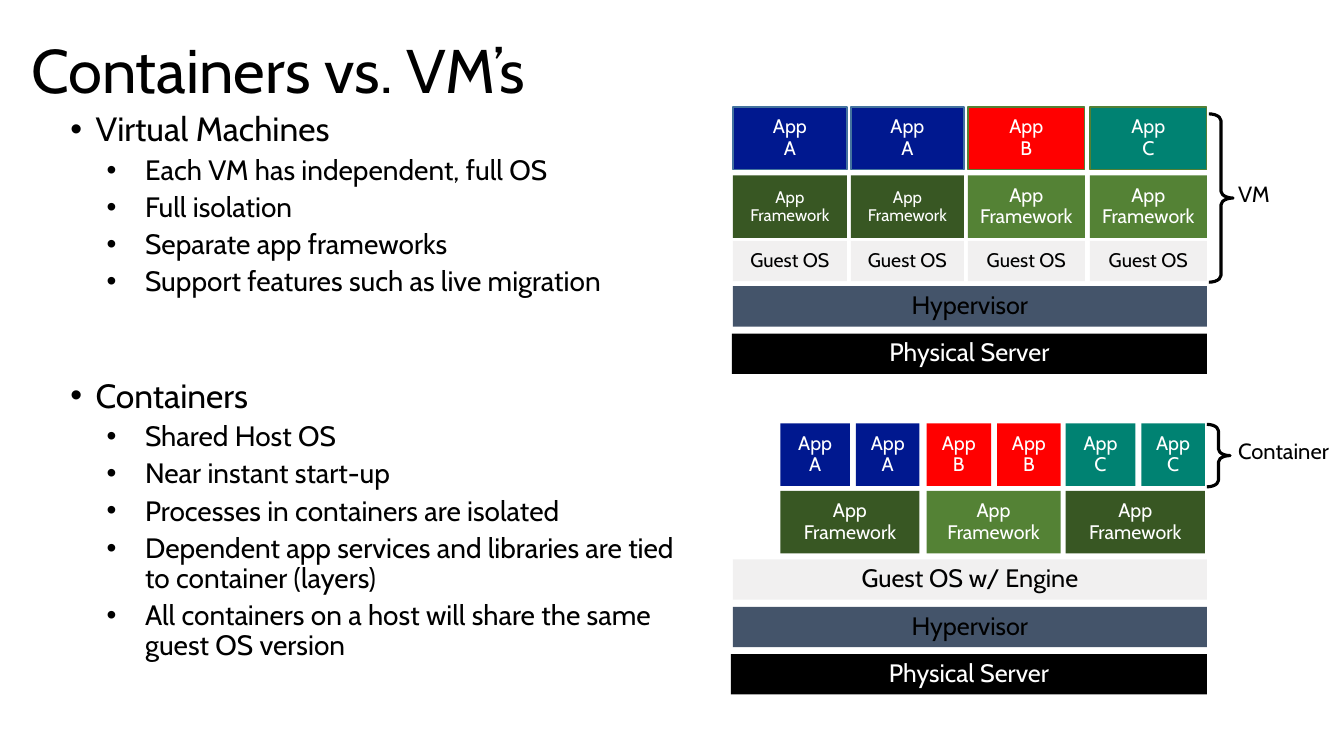
"""Builds a slide that compares the layers of virtual machines and containers."""
from pptx import Presentation
from pptx import util as u
from pptx.dml.color import RGBColor
from pptx.enum import shapes, text
from pptx.oxml import parse_xml
from pptx.oxml.ns import nsdecls

INK = {
    "black": "000000", "white": "FFFFFF", "navy": "00188F", "red": "FF0000",
    "teal": "008272", "pine": "385723", "leaf": "548235", "pale": "F1F0F0",
    "slate": "44546A", "blue edge": "43739E", "green edge": "538035",
}


def write(frame, words, size, ink="black", align=text.PP_ALIGN.LEFT):
    frame.text = words
    for par in frame.paragraphs:
        par.alignment = align
        par.line_spacing = 0.9
        for run in par.runs:
            run.font.name = "Cabin"
            run.font.size = u.Pt(size)
            run.font.color.rgb = RGBColor.from_string(INK[ink])


def block(left, top, width, height, words, fill, size, ink="white", edge=None):
    box = slide.shapes.add_shape(
        shapes.MSO_SHAPE.RECTANGLE,
        u.Inches(left), u.Inches(top), u.Inches(width), u.Inches(height))
    box.shadow.inherit = False
    box.fill.solid()
    box.fill.fore_color.rgb = RGBColor.from_string(INK[fill])
    if edge:
        box.line.color.rgb = RGBColor.from_string(INK[edge])
        box.line.width = u.Pt(1)
    else:
        box.line.fill.background()
    frame = box.text_frame
    frame.word_wrap = True
    frame.vertical_anchor = text.MSO_ANCHOR.MIDDLE
    frame.margin_left = frame.margin_right = u.Inches(0.1)
    frame.margin_top = frame.margin_bottom = u.Inches(0.1)
    write(frame, words, size, ink, text.PP_ALIGN.CENTER)


deck = Presentation()
deck.slide_width = u.Inches(13.33)
deck.slide_height = u.Inches(7.5)
slide = deck.slides.add_slide(deck.slide_layouts[6])

title = slide.shapes.add_textbox(
    u.Inches(0.21), u.Inches(0.24), u.Inches(12.99), u.Inches(0.98)).text_frame
title.word_wrap = True
title.vertical_anchor = text.MSO_ANCHOR.MIDDLE
write(title, "Containers vs. VM’s", 44)

points = [
    (0, "Virtual Machines", 0),
    (1, "Each VM has independent, full OS", 5),
    (1, "Full isolation", 5),
    (1, "Separate app frameworks", 5),
    (1, "Support features such as live migration", 5),
    (0, "Containers", 58),
    (1, "Shared Host OS", 5),
    (1, "Near instant start-up", 5),
    (1, "Processes in containers are isolated", 5),
    (1, "Dependent app services and libraries are tied to container (layers)", 5),
    (1, "All containers on a host will share the same guest OS version", 5),
]
body = slide.shapes.add_textbox(
    u.Inches(0.6), u.Inches(1.07), u.Inches(6.25), u.Inches(5.93)).text_frame
body.word_wrap = True
write(body, "\n".join(words for level, words, gap in points), 20)
for par, (level, words, gap) in zip(body.paragraphs, points):
    par.level = level
    par.space_before = u.Pt(gap)
    par.runs[0].font.size = u.Pt(20 if level else 24)
    props = par._p.get_or_add_pPr()
    props.set("marL", str(u.Inches(0.74 if level else 0.25)))
    props.set("indent", str(u.Inches(-0.38 if level else -0.25)))
    props.append(parse_xml(f'<a:buFont {nsdecls("a")} typeface="Arial"/>'))
    props.append(parse_xml(f'<a:buChar {nsdecls("a")} char="•"/>'))

stacks = [
    (7.27, 1.13, "A", "navy", "blue edge", "pine", 12),
    (8.44, 1.12, "A", "navy", "blue edge", "pine", 12),
    (9.6, 1.16, "B", "red", "green edge", "leaf", 14),
    (10.81, 1.16, "C", "teal", "green edge", "leaf", 14),
]
for left, width, name, fill, edge, base, size in stacks:
    block(left, 1.06, width, 0.62, f"App\n{name}", fill, 14, edge=edge)
    block(left, 1.74, width, 0.62, "App\nFramework", base, size)
    block(left, 2.39, width, 0.4, "Guest OS", "pale", 14, "black")

groups = [
    (7.74, 1.38, "A", "navy", "pine"),
    (9.19, 1.33, "B", "red", "leaf"),
    (10.57, 1.38, "C", "teal", "pine"),
]
for left, width, name, fill, base in groups:
    block(left, 4.2, width - 0.69, 0.62, f"App\n{name}", fill, 14)
    block(left + width - 0.63, 4.2, 0.63, 0.62, f"App\n{name}", fill, 14)
    block(left, 4.87, width, 0.62, "App\nFramework", base, 14)

layers = [
    (7.27, 2.84, "Hypervisor", "slate", "black"),
    (7.26, 3.31, "Physical Server", "black", "white"),
    (7.27, 5.55, "Guest OS w/ Engine", "pale", "black"),
    (7.27, 6.02, "Hypervisor", "slate", "black"),
    (7.25, 6.49, "Physical Server", "black", "white"),
]
for left, top, words, fill, ink in layers:
    block(left, top, 11.97 - left, 0.4, words, fill, 18, ink)

braces = [
    (11.99, 1.13, 0.24, 1.67, "VM", 1.7, 0.74),
    (11.97, 4.21, 0.23, 0.62, "Container", 4.25, 1.35),
]
for left, top, width, height, words, line, span in braces:
    brace = slide.shapes.add_shape(
        shapes.MSO_SHAPE.RIGHT_BRACE,
        u.Inches(left), u.Inches(top), u.Inches(width), u.Inches(height))
    brace.shadow.inherit = False
    brace.adjustments[0] = 0.28
    brace.fill.background()
    brace.line.color.rgb = RGBColor.from_string(INK["black"])
    brace.line.width = u.Pt(2.25)
    label = slide.shapes.add_textbox(
        u.Inches(12.08), u.Inches(line), u.Inches(span), u.Inches(0.56)).text_frame
    label.word_wrap = False
    label.margin_left = label.margin_right = u.Inches(0.2)
    label.margin_top = label.margin_bottom = u.Inches(0.16)
    write(label, words, 15.7)

deck.save("out.pptx")
